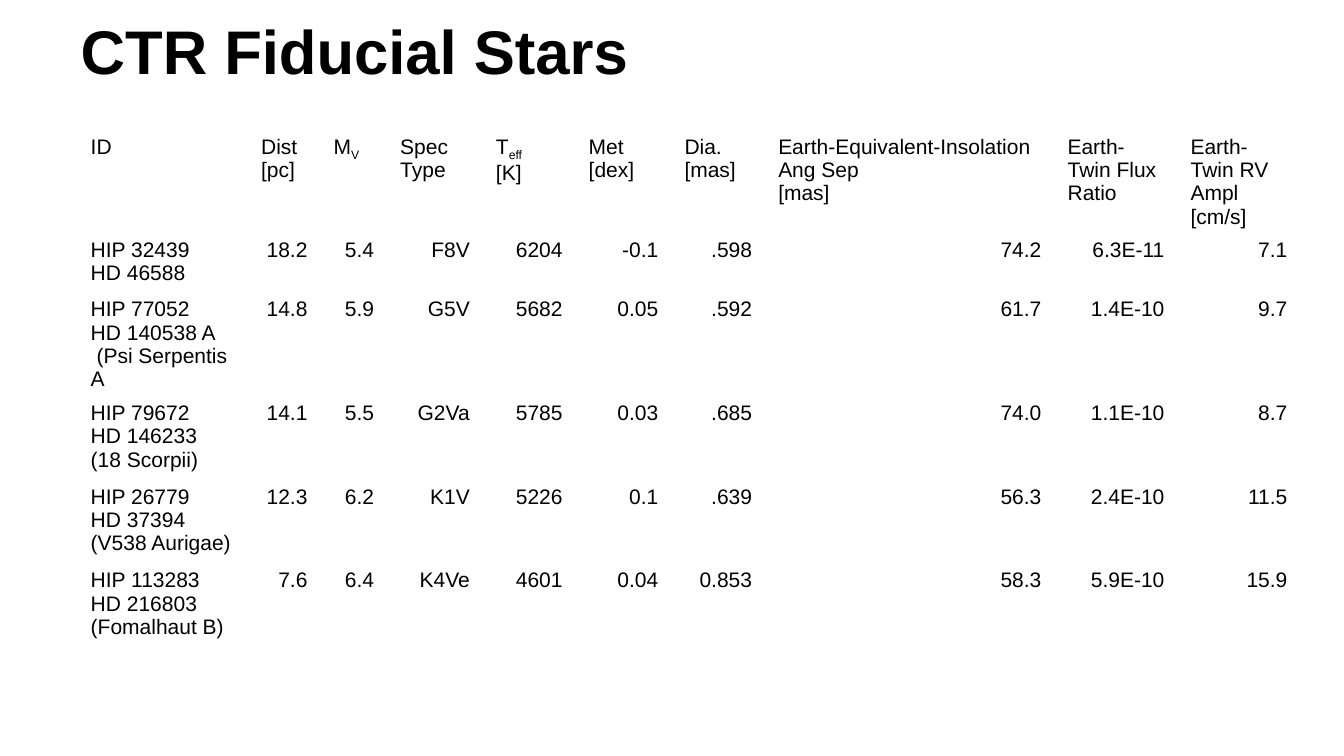
import pptx
import pptx.util
import pptx.dml.color
import pptx.enum.text

Inches = pptx.util.Inches
Pt = pptx.util.Pt
ALIGN = pptx.enum.text.PP_ALIGN
ANCHOR = pptx.enum.text.MSO_ANCHOR
BLACK = pptx.dml.color.RGBColor(0, 0, 0)

HEADING = "CTR Fiducial Stars"
COLUMNS = [
    ("ID", 1.69),
    ("Dist\n[pc]", 0.72),
    ("M_V", 0.66),
    ("Spec Type", 0.95),
    ("T_eff\n[K]", 0.92),
    ("Met\n[dex]", 0.95),
    ("Dia.\n[mas]", 0.93),
    ("Earth-Equivalent-Insolation Ang Sep\n[mas]", 2.87),
    ("Earth-Twin Flux Ratio", 1.22),
    ("Earth-Twin RV Ampl\n[cm/s]", 1.22),
]
STARS = [
    ("HIP 32439\nHD 46588", "18.2", "5.4", "F8V", "6204", "-0.1", ".598", "74.2", "6.3E-11", "7.1"),
    ("HIP 77052\nHD 140538 A\n (Psi Serpentis A", "14.8", "5.9", "G5V", "5682", "0.05", ".592", "61.7", "1.4E-10", "9.7"),
    ("HIP 79672\nHD 146233\n(18 Scorpii)", "14.1", "5.5", "G2Va", "5785", "0.03", ".685", "74.0", "1.1E-10", "8.7"),
    ("HIP 26779\nHD 37394\n(V538 Aurigae)", "12.3", "6.2", "K1V", "5226", "0.1", ".639", "56.3", "2.4E-10", "11.5"),
    ("HIP 113283\nHD 216803\n(Fomalhaut B)", "7.6", "6.4", "K4Ve", "4601", "0.04", "0.853", "58.3", "5.9E-10", "15.9"),
]
ROW_HEIGHTS = [0.83, 0.59, 0.83, 0.83, 0.83, 0.83]
SUBSCRIPT = "-25000"

HEADING_PLACE = dict(left=Inches(0.67), top=Inches(0.14), width=Inches(12), height=Inches(0.52))
HEADING_FRAME = dict(
    margin_left=Inches(0.13), margin_right=Inches(0.13),
    margin_top=Inches(0.07), margin_bottom=Inches(0.07),
    vertical_anchor=ANCHOR.TOP, word_wrap=True, auto_size=pptx.enum.text.MSO_AUTO_SIZE.NONE,
)
HEADING_FONT = dict(name="Arial", size=Pt(44), bold=True)
CELL_FORMAT = dict(
    margin_left=Inches(0.13), margin_right=Inches(0.13),
    margin_top=Inches(0.05), margin_bottom=Inches(0.05),
    vertical_anchor=ANCHOR.TOP,
)
CELL_FONT = dict(name="Arial", size=Pt(15), bold=False)
PLAIN_TABLE = dict(first_row=False, horz_banding=False)


def apply(target, values):
    for attribute, value in values.items():
        setattr(target, attribute, value)


def add_text(paragraph, text, font):
    run = paragraph.add_run()
    run.text = text
    apply(run.font, font)
    run.font.color.rgb = BLACK
    return run


def fill_cell(cell, text, alignment):
    apply(cell, CELL_FORMAT)
    cell.fill.background()
    for number, line in enumerate(text.split("\n")):
        frame = cell.text_frame
        paragraph = frame.add_paragraph() if number else frame.paragraphs[0]
        paragraph.alignment = alignment
        symbol, _, index = line.partition("_")
        add_text(paragraph, symbol, CELL_FONT)
        if index:
            subscript = add_text(paragraph, index, CELL_FONT)
            subscript._r.get_or_add_rPr().set("baseline", SUBSCRIPT)


def main():
    deck = pptx.Presentation()
    apply(deck, dict(slide_width=Inches(13.33), slide_height=Inches(7.5)))
    slide = deck.slides.add_slide(deck.slide_layouts[5])

    heading = slide.shapes.title
    apply(heading, HEADING_PLACE)
    apply(heading.text_frame, HEADING_FRAME)
    heading_line = heading.text_frame.paragraphs[0]
    apply(heading_line, dict(alignment=ALIGN.LEFT, line_spacing=0.9))
    add_text(heading_line, HEADING, HEADING_FONT)

    labels, widths = zip(*COLUMNS)
    rows = [labels] + STARS
    stars = slide.shapes.add_table(
        len(rows), len(labels), Inches(0.77), Inches(1.29),
        Inches(sum(widths)), Inches(sum(ROW_HEIGHTS)),
    ).table
    apply(stars, PLAIN_TABLE)
    for column, width in zip(stars.columns, widths):
        column.width = Inches(width)
    for row, height in zip(stars.rows, ROW_HEIGHTS):
        row.height = Inches(height)
    for r, values in enumerate(rows):
        for c, text in enumerate(values):
            fill_cell(stars.cell(r, c), text, ALIGN.RIGHT if r and c else ALIGN.LEFT)

    deck.save("out.pptx")


if __name__ == "__main__":
    main()
